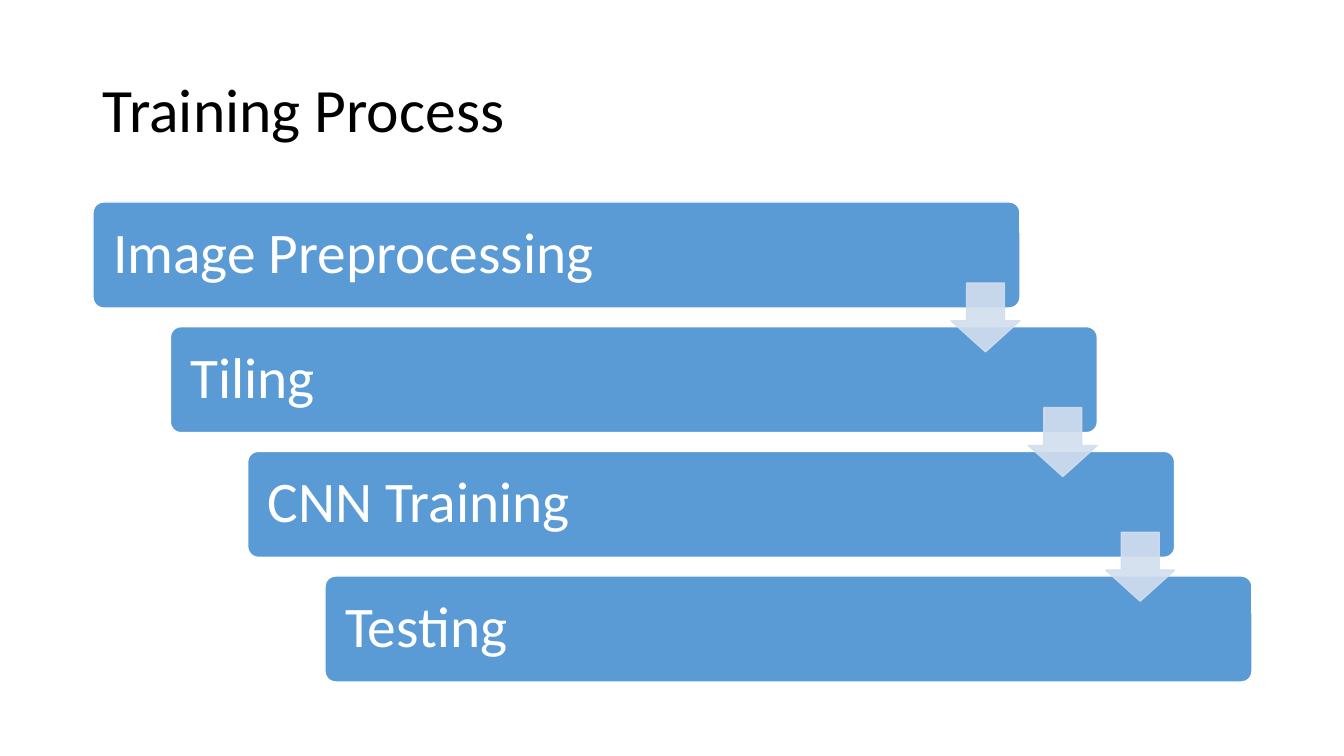
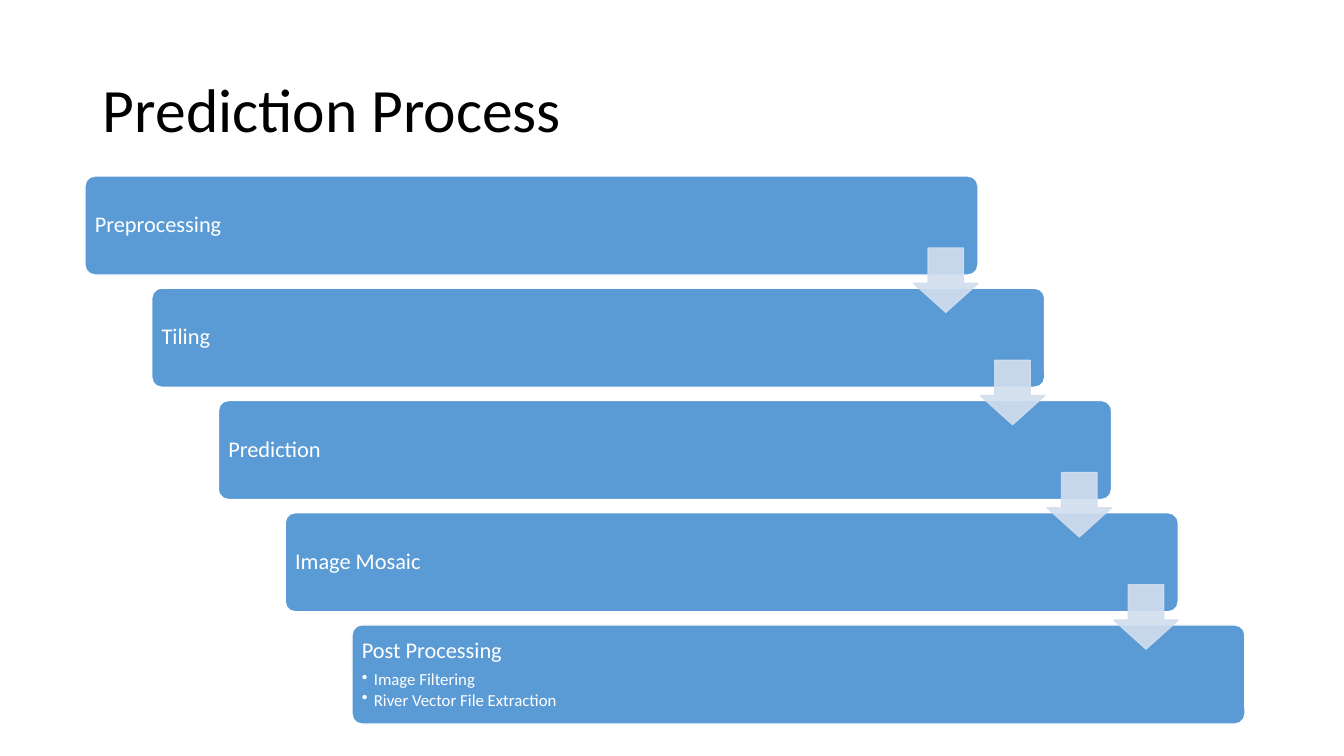
"""Build two slides that show staircase processes under a shared title style."""
from lxml import etree
from pptx import Presentation, util as u
from pptx.dml.color import RGBColor
from pptx.enum import shapes, text
from pptx.oxml.ns import qn

EMU_PER_PIXEL = 12192000 / 1344
FONT = "Calibri"
BLACK = RGBColor(0x00, 0x00, 0x00)
WHITE = RGBColor(0xFF, 0xFF, 0xFF)
STEP_BLUE = RGBColor(0x5B, 0x9B, 0xD5)
ARROW_BLUE = RGBColor(0xD2, 0xDE, 0xEF)
TITLE_BOX = (93, 40, 1159, 146)
BULLET_INDENT = 12
ARROW_OPACITY = 90

TRAINING = {
    "title": "Training Process",
    "steps": [("Image Preprocessing",), ("Tiling",), ("CNN Training",), ("Testing",)],
    "area": (93, 202, 1159, 480),
    "bar": (927, 106),
    "arrow_drop": 81,
    "inset": 17,
    "size": 41,
}
PREDICTION = {
    "title": "Prediction Process",
    "steps": [
        ("Preprocessing",),
        ("Tiling",),
        ("Prediction",),
        ("Image Mosaic",),
        ("Post Processing", "Image Filtering", "River Vector File Extraction"),
    ],
    "area": (85, 176, 1160, 548),
    "bar": (893, 99),
    "arrow_drop": 72,
    "inset": 7,
    "size": 16,
}


def px(pixels):
    """Convert pixels to EMU."""
    return u.Emu(round(pixels * EMU_PER_PIXEL))


def write(paragraph, words, *, size, color, after=0, bullet=False):
    """Write one formatted paragraph, with a bullet if asked."""
    paragraph.alignment = text.PP_ALIGN.LEFT
    paragraph.line_spacing = 0.9
    paragraph.space_after = u.Pt(after)
    if bullet:
        paragraph.level = 1
        properties = paragraph._p.get_or_add_pPr()
        properties.set("marL", str(px(BULLET_INDENT)))
        properties.set("indent", str(-px(BULLET_INDENT)))
        etree.SubElement(properties, qn("a:buChar")).set("char", "•")
    run = paragraph.add_run()
    run.text = words
    run.font.name = FONT
    run.font.size = u.Pt(size)
    run.font.color.rgb = color


def set_frame(frame, side, upright):
    """Wrap and centre a text frame vertically, with the given insets."""
    frame.word_wrap = True
    frame.vertical_anchor = text.MSO_ANCHOR.MIDDLE
    frame.margin_left = frame.margin_right = px(side)
    frame.margin_top = frame.margin_bottom = px(upright)


def add_title(slide, words):
    """Add the slide title."""
    frame = slide.shapes.add_textbox(*map(px, TITLE_BOX)).text_frame
    set_frame(frame, 10, 5)
    write(frame.paragraphs[0], words, size=44, color=BLACK)


def add_preset(slide, kind, box, fill, line, adjustments):
    """Add a flat preset shape with a one-point outline."""
    preset = slide.shapes.add_shape(kind, *map(px, box))
    preset.shadow.inherit = False
    preset.fill.solid()
    preset.fill.fore_color.rgb = fill
    preset.line.color.rgb = line
    preset.line.width = u.Pt(1)
    for index, value in enumerate(adjustments):
        preset.adjustments[index] = value
    return preset


def add_step(slide, box, lines, inset, size):
    """Add a step bar with its heading and any bulleted details."""
    bar = add_preset(slide, shapes.MSO_SHAPE.ROUNDED_RECTANGLE, box,
                     STEP_BLUE, WHITE, [0.1])
    frame = bar.text_frame
    set_frame(frame, inset, inset)
    heading, *details = lines
    write(frame.paragraphs[0], heading, size=size, color=WHITE, after=size * 0.35)
    for detail in details:
        write(frame.add_paragraph(), detail, size=12, color=WHITE,
              after=1.8, bullet=True)


def add_arrow(slide, box):
    """Add a slightly transparent arrow to the next step."""
    arrow = add_preset(slide, shapes.MSO_SHAPE.DOWN_ARROW, box,
                       ARROW_BLUE, ARROW_BLUE, [0.55, 0.45])
    for color in arrow._element.spPr.iter(qn("a:srgbClr")):
        etree.SubElement(color, qn("a:alpha")).set("val", str(ARROW_OPACITY * 1000))


def add_staircase(slide, steps, area, bar, arrow_drop, inset, size):
    """Spread the steps evenly down the area and join them with arrows."""
    left, top, width, height = area
    bar_width, bar_height = bar
    gaps = len(steps) - 1
    shift = (width - bar_width) / gaps
    drop = (height - bar_height) / gaps
    corners = [(left + i * shift, top + i * drop) for i in range(len(steps))]
    for (x, y), lines in zip(corners, steps):
        add_step(slide, (x, y, bar_width, bar_height), lines, inset, size)
    arrow = 0.65 * bar_height
    for x, y in corners[:-1]:
        add_arrow(slide, (x + bar_width - arrow, y + arrow_drop, arrow, arrow))


def add_process(deck, title, **staircase):
    """Add one process slide."""
    slide = deck.slides.add_slide(deck.slide_layouts[6])
    add_title(slide, title)
    add_staircase(slide, **staircase)


def main():
    """Build and save the deck."""
    deck = Presentation()
    deck.slide_width, deck.slide_height = px(1344), px(756)
    for process in (TRAINING, PREDICTION):
        add_process(deck, **process)
    deck.save("out.pptx")


main()
